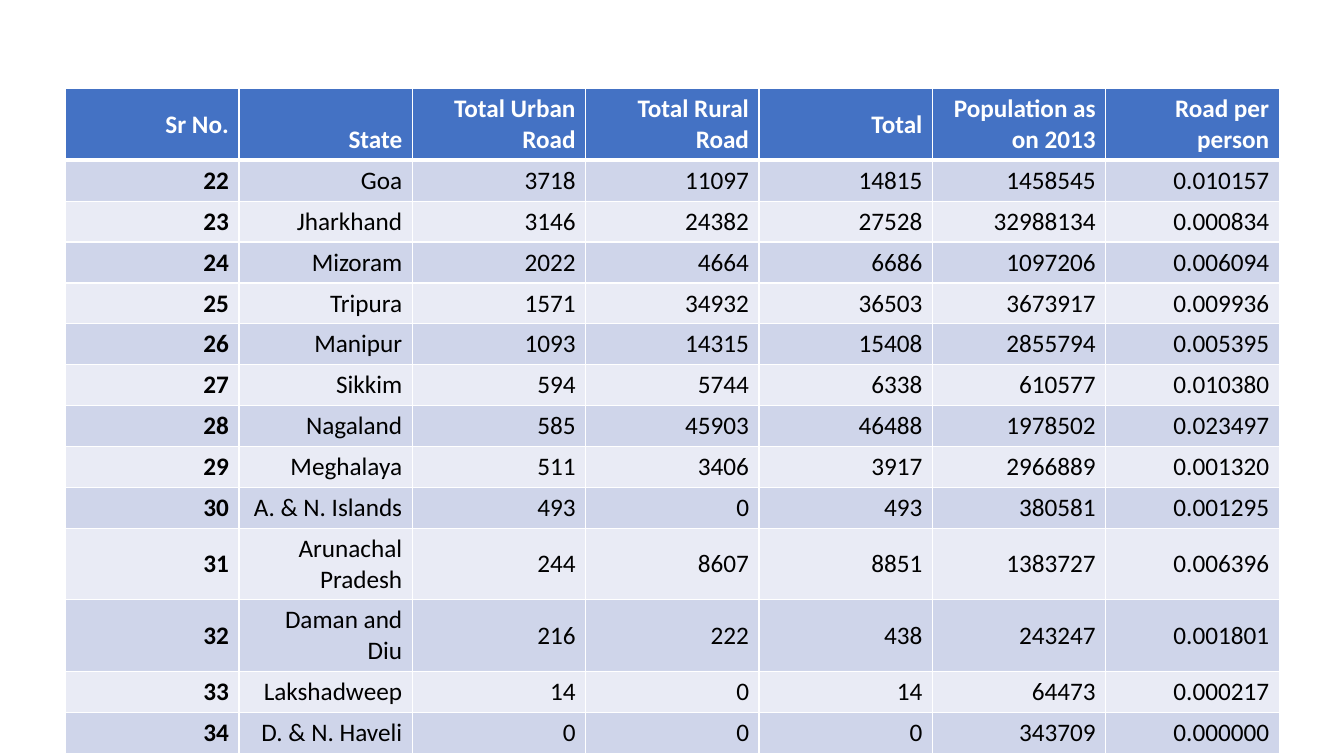
from lxml.etree import SubElement
from pptx import Presentation
from pptx.dml.color import RGBColor
from pptx.enum.text import MSO_ANCHOR, PP_ALIGN
from pptx.oxml.ns import qn
from pptx.util import Inches, Pt

HEADINGS = ["Sr No.", "\vState", "Total Urban Road", "Total Rural Road",
            "Total", "Population as on 2013", "Road per person"]
FIRST_NUMBER = 22
# State, urban road, rural road, population
STATES = [
    ("Goa", 3718, 11097, 1458545),
    ("Jharkhand", 3146, 24382, 32988134),
    ("Mizoram", 2022, 4664, 1097206),
    ("Tripura", 1571, 34932, 3673917),
    ("Manipur", 1093, 14315, 2855794),
    ("Sikkim", 594, 5744, 610577),
    ("Nagaland", 585, 45903, 1978502),
    ("Meghalaya", 511, 3406, 2966889),
    ("A. & N. Islands", 493, 0, 380581),
    ("Arunachal Pradesh", 244, 8607, 1383727),
    ("Daman and Diu", 216, 222, 243247),
    ("Lakshadweep", 14, 0, 64473),
    ("D. & N. Haveli", 0, 0, 343709),
]
TWO_LINE_STATES = ("Arunachal Pradesh", "Daman and Diu")


def color(value):
    return RGBColor.from_string(value)


class RoadSlide:
    font_name = "Calibri"
    font_size = 18
    white, black, header_blue = "FFFFFF", "000000", "4472C4"
    bands = ("CFD5EA", "E9EBF5")
    column_width = 1.72
    line_height, two_line_height = 0.4, 0.7

    def __init__(self, presentation):
        self.slide = presentation.slides.add_slide(presentation.slide_layouts[6])

    def add_table(self, left, top, rows, two_line_rows):
        heights = [self.two_line_height if index in two_line_rows else self.line_height
                   for index in range(len(rows))]
        columns = len(rows[0])
        shape = self.slide.shapes.add_table(
            len(rows), columns, Inches(left), Inches(top),
            Inches(self.column_width * columns), Inches(sum(heights)))
        table = shape.table
        for column in table.columns:
            column.width = Inches(self.column_width)
        for row_index, values in enumerate(rows):
            table.rows[row_index].height = Inches(heights[row_index])
            for column_index, value in enumerate(values):
                self.fill_cell(table.cell(row_index, column_index), value,
                               row_index, column_index)

    def fill_cell(self, cell, value, row_index, column_index):
        is_header = row_index == 0
        cell.text = value
        cell.vertical_anchor = MSO_ANCHOR.MIDDLE
        paragraph = cell.text_frame.paragraphs[0]
        paragraph.alignment = PP_ALIGN.RIGHT
        paragraph.font.name = self.font_name
        paragraph.font.size = Pt(self.font_size)
        paragraph.font.bold = is_header or column_index == 0
        paragraph.font.color.rgb = color(self.white if is_header else self.black)
        # The line under the header is heavier than the others
        self.add_borders(cell, top=3 if row_index == 1 else 1,
                         bottom=3 if is_header else 1)
        cell.fill.solid()
        cell.fill.fore_color.rgb = color(
            self.header_blue if is_header else self.bands[(row_index - 1) % 2])

    def add_borders(self, cell, top, bottom):
        properties = cell._tc.get_or_add_tcPr()
        for side, width in (("L", 1), ("R", 1), ("T", top), ("B", bottom)):
            line = SubElement(properties, qn(f"a:ln{side}"), w=str(Pt(width)))
            fill = SubElement(line, qn("a:solidFill"))
            SubElement(fill, qn("a:srgbClr"), val=self.white)


def main():
    presentation = Presentation()
    presentation.slide_width = Inches(13.33)
    presentation.slide_height = Inches(7.5)

    # Totals and road per person follow from the base figures
    rows = [HEADINGS]
    for number, (state, urban, rural, population) in enumerate(STATES, FIRST_NUMBER):
        total = urban + rural
        rows.append([str(number), state, str(urban), str(rural), str(total),
                     str(population), f"{total / population:.6f}"])
    two_line_rows = [index for index, row in enumerate(rows)
                     if index == 0 or row[1] in TWO_LINE_STATES]

    # Road table
    RoadSlide(presentation).add_table(0.65, 0.88, rows, two_line_rows)
    presentation.save("out.pptx")


if __name__ == "__main__":
    main()
